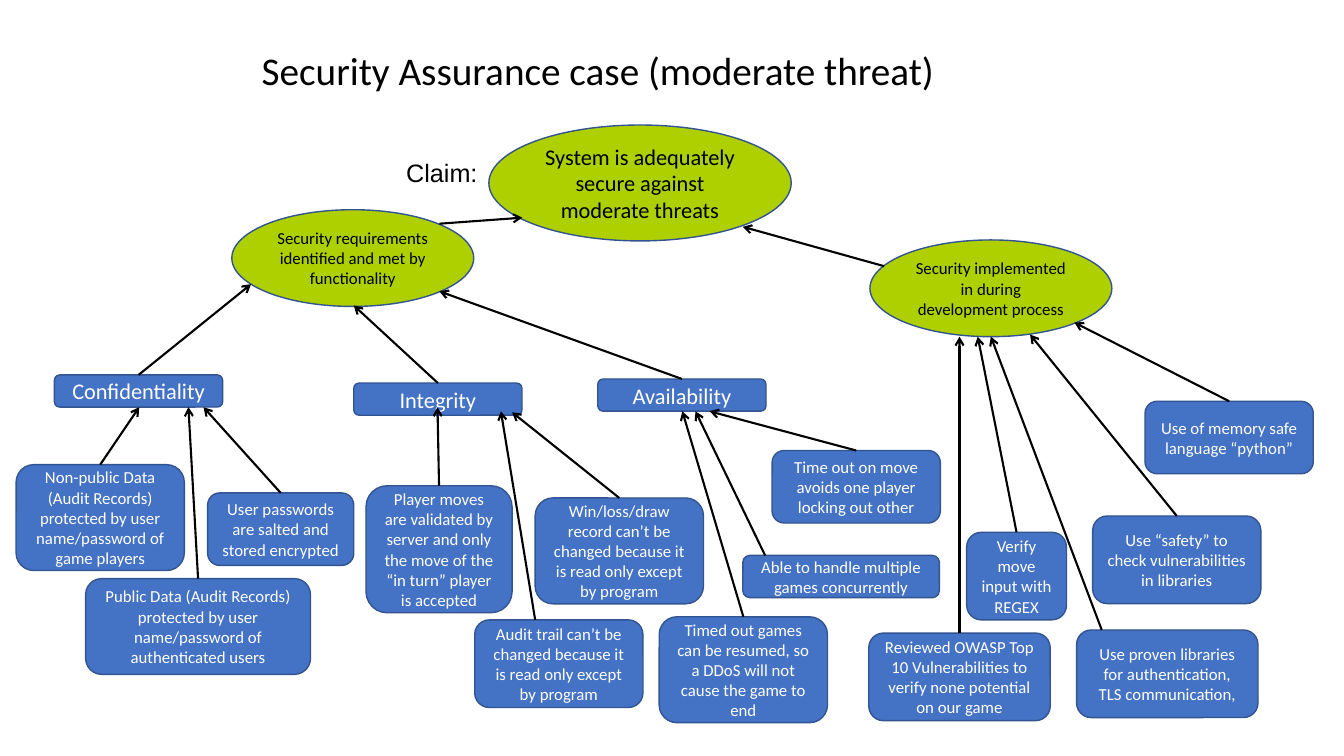
from lxml import etree
from pptx import Presentation
from pptx import util as u
from pptx.dml.color import RGBColor
from pptx.enum import shapes, text
from pptx.oxml import ns

BLACK = RGBColor(0x00, 0x00, 0x00)
WHITE = RGBColor(0xFF, 0xFF, 0xFF)
GREEN = RGBColor(0xAE, 0xCF, 0x00)
BLUE = RGBColor(0x44, 0x72, 0xC4)
OUTLINE = RGBColor(0x32, 0x54, 0x91)
OVAL = shapes.MSO_SHAPE.OVAL
ROUNDED = shapes.MSO_SHAPE.ROUNDED_RECTANGLE


def add_node(s, kind, box, words, size, fill, color):
    """Add an outlined shape with centred text and return it."""
    sp = s.shapes.add_shape(kind, *(u.Pt(v) for v in box))
    sp.shadow.inherit = False
    sp.fill.solid()
    sp.fill.fore_color.rgb = fill
    sp.line.color.rgb = OUTLINE
    sp.line.width = u.Pt(1)
    tf = sp.text_frame
    tf.word_wrap = True
    tf.vertical_anchor = text.MSO_ANCHOR.MIDDLE
    p = tf.paragraphs[0]
    p.text = words
    p.alignment = text.PP_ALIGN.CENTER
    p.font.name = "Calibri"
    p.font.size = u.Pt(size)
    p.font.color.rgb = color
    return sp


def add_arrow(s, start, tip):
    """Add a black straight arrow from start to tip and return it."""
    cx = s.shapes.add_connector(shapes.MSO_CONNECTOR.STRAIGHT,
                                *(u.Pt(v) for v in (*start, *tip)))
    cx.line.color.rgb = BLACK
    cx.line.width = u.Pt(1.5)
    etree.SubElement(cx.line._get_or_add_ln(), ns.qn("a:tailEnd"), type="arrow")
    etree.SubElement(cx._element.spPr, ns.qn("a:effectLst"))
    return cx


prs = Presentation()
prs.slide_width, prs.slide_height = u.Pt(960), u.Pt(540)
s = prs.slides.add_slide(prs.slide_layouts[5])

# Title
title = s.shapes.title
title.left, title.top = u.Pt(132.5), u.Pt(14.4)
title.width, title.height = u.Pt(589), u.Pt(56.2)
tf = title.text_frame
tf.auto_size = text.MSO_AUTO_SIZE.NONE
tf.vertical_anchor = text.MSO_ANCHOR.BOTTOM
p = tf.paragraphs[0]
p.text = "Security Assurance case (moderate threat)"
p.alignment = text.PP_ALIGN.CENTER
p.line_spacing = 0.9
p.font.name = "Calibri"
p.font.size = u.Pt(28)
p.font.color.rgb = BLACK

# Claim label
label = s.shapes.add_textbox(u.Pt(283), u.Pt(108.7), u.Pt(66.2), u.Pt(28.8))
tf = label.text_frame
tf.word_wrap = False
tf.auto_size = text.MSO_AUTO_SIZE.SHAPE_TO_FIT_TEXT
p = tf.paragraphs[0]
p.text = "Claim:"
p.font.name = "Arial"
p.font.size = u.Pt(18)
p.font.color.rgb = BLACK

# Claims: box, text size, words
claims = [
    ((349.2, 89.3, 216, 82.8), 16, "System is adequately secure against moderate threats"),
    ((165.6, 149.8, 172.8, 69.1), 12, "Security requirements identified and met by functionality"),
    ((621.4, 171.4, 172.8, 69.1), 12, "Security implemented in during development process"),
]
for box, size, words in claims:
    add_node(s, OVAL, box, words, size, GREEN, BLACK)
add_arrow(s, (313.9, 159.8), (373, 155.5))
add_arrow(s, (631.4, 190.1), (530.6, 162))

# Supporting boxes: box, arrow tip, words, arrow start x (None for top centre)
W = 120.2
pillars = [
    ((38.9, 267.8, W, 23), (179.3, 203), "Confidentiality", None),
    ((252.7, 273.6, W, 23), (252.7, 218.2), "Integrity", None),
    ((427, 270.7, W, 23), (313.9, 208.1), "Availability", None),
]
evidence = [
    # Confidentiality
    ((11.5, 331.9, W, 75.6), (99.4, 290.9),
     "Non-public Data (Audit Records) protected by user name/password of game players", None),
    ((148.3, 352.1, 104.4, 51.8), (145.4, 290.9),
     "User passwords are salted and stored encrypted", None),
    ((61.2, 413.3, 160.6, 68.4), (134.6, 290.9),
     "Public Data (Audit Records) protected by user name/password of authenticated users", None),
    # Integrity
    ((261.4, 347, 104.4, 90.7), (312.5, 290.9),
     "Player moves are validated by server and only the move of the “in turn” player is accepted",
     None),
    ((339.1, 442.8, W, 62.6), (357.8, 293.8),
     "Audit trail can’t be changed because it is read only except by program", 382.3),
    ((382.3, 355.7, W, 75.6), (365.8, 294.5),
     "Win/loss/draw record can’t be changed because it is read only except by program", None),
    # Availability
    ((551.5, 321.8, W, 51.8), (506.9, 293.8),
     "Time out on move avoids one player locking out other", None),
    ((470.9, 440.6, W, 75.6), (487.4, 293.8),
     "Timed out games can be resumed, so a DDoS will not cause the game to end", None),
    ((530.6, 396.7, 140.4, 30.2), (496.8, 293.8),
     "Able to handle multiple games concurrently", 546.5),
    # Development process
    ((817.9, 286.6, W, 51.8), (767.5, 230.4),
     "Use of memory safe language “python”", None),
    ((620.6, 452.2, 129.6, 62.6), (685.4, 240.5),
     "Reviewed OWASP Top 10 Vulnerabilities to verify none potential on our game", None),
    ((769, 450, 129.6, 62.6), (707.8, 240.5),
     "Use proven libraries for authentication, TLS communication,", 787),
    ((780.5, 368.6, W, 62.6), (735.8, 239),
     "Use “safety” to check vulnerabilities in libraries", None),
    ((690.5, 380.2, 71.3, 62.6), (698.4, 240.5),
     "Verify move input with REGEX", None),
]
for nodes, size in ((pillars, 16), (evidence, 12)):
    for box, tip, words, start_x in nodes:
        sp = add_node(s, ROUNDED, box, words, size, BLUE, WHITE)
        left, top, width, height = box
        if start_x is None:
            add_arrow(s, (left + width / 2, top), tip).begin_connect(sp, 0)
        else:
            add_arrow(s, (start_x, top), tip)

prs.save("out.pptx")
